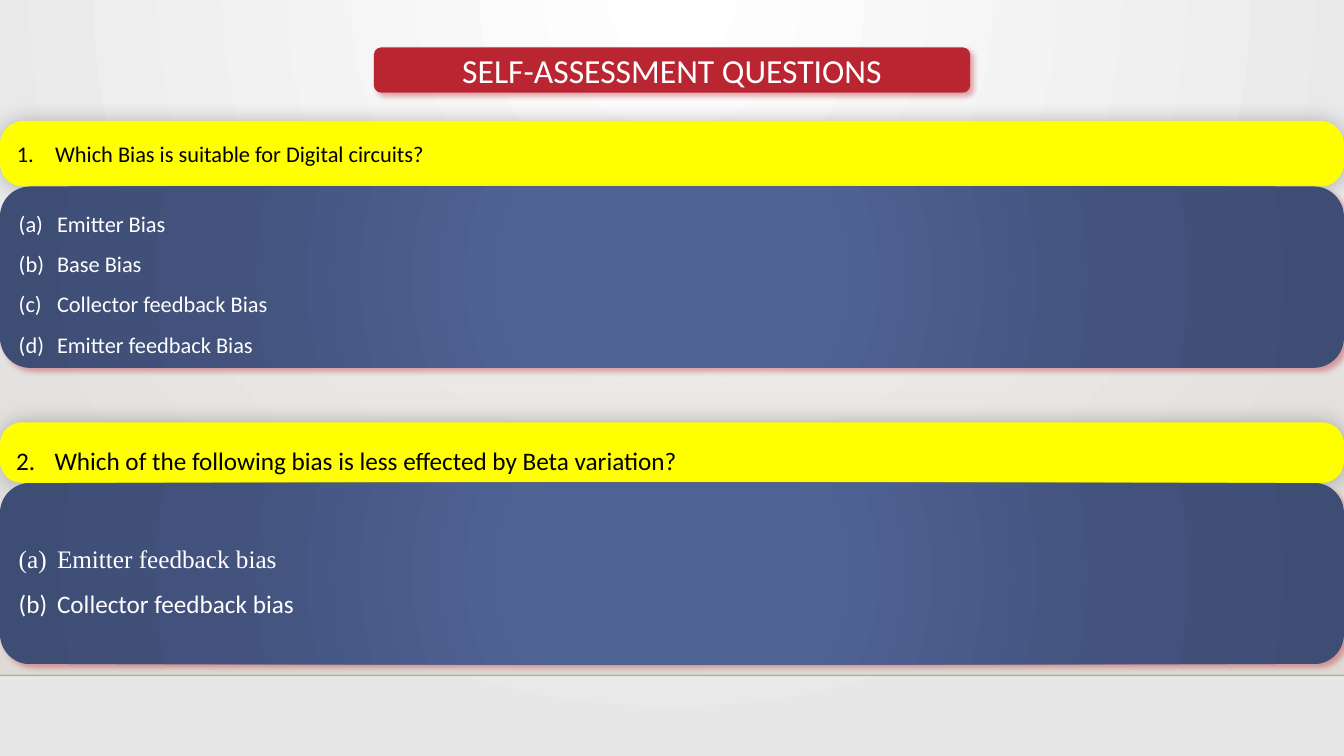
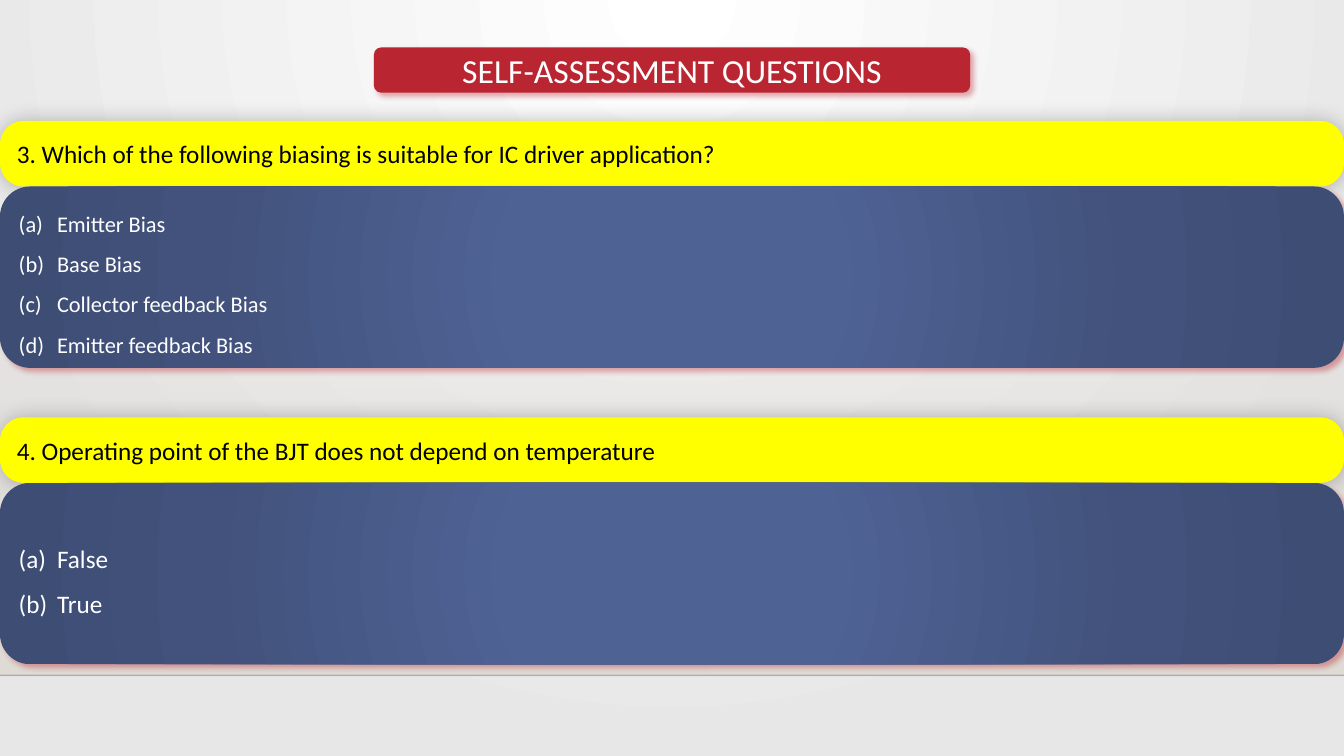
"""Build two slides of self-assessment questions on transistor biasing."""
from dataclasses import dataclass
from typing import NamedTuple, Optional

from lxml import etree
from pptx import Presentation
from pptx import util as u
from pptx.dml.color import RGBColor
from pptx.enum import shapes, text
from pptx.oxml.ns import qn

COLORS = {
    "white": "FFFFFF", "black": "000000", "red": "BA2532", "yellow": "FFFF00",
    "mist": "E7E7E7", "sand": "DFDBD5", "rule": "000001",
    "blue": "4E6294", "slate": "42527C", "navy": "3E4D74",
}
WIDTH, HEIGHT = u.Inches(13.33), u.Inches(7.5)
COLS, ROWS = 160, 150
FLOOR_ROW = 134
ANSWER_TOP, ANSWER_ROWS, BLOCK_PITCH = 37, 36, 58.8
INDENT = u.Inches(0.38)
BODY_FONT, SERIF_FONT = "Calibri", "Times New Roman"


class Stop(NamedTuple):
    """One colour stop of a gradient, in percent."""
    at: int
    color: str
    alpha: int = 100


class Shadow(NamedTuple):
    """An outer shadow: opacity in percent, lengths in points, angle in degrees."""
    color: str
    alpha: int
    blur: int
    distance: int
    angle: int


class Option(NamedTuple):
    """One answer to choose from."""
    text: str
    font: str = BODY_FONT


@dataclass(frozen=True)
class Block:
    """A question band with its answer panel."""
    question: str
    options: tuple[Option, ...]
    number: Optional[int] = None
    rows: float = 13
    question_size: int = 18
    question_spacing: Optional[float] = None
    option_size: int = 18


PAGE_STOPS = (Stop(0, "white"), Stop(100, "mist"))
WALL_STOPS = (Stop(0, "sand", 0), Stop(100, "sand"))
PANEL_STOPS = (Stop(0, "blue"), Stop(23, "blue"), Stop(69, "slate"), Stop(97, "navy"))
RED_SHADOW = Shadow("red", 40, 4, 3, 45)
GLOW = Shadow("black", 25, 15, 0, 0)
BIAS_OPTIONS = tuple(map(Option, (
    "Emitter Bias", "Base Bias", "Collector feedback Bias", "Emitter feedback Bias")))
PAGES = (
    (
        Block("Which Bias is suitable for Digital circuits?", BIAS_OPTIONS,
              number=1, question_size=16, option_size=16),
        Block("Which of the following bias is less effected by Beta variation?",
              (Option("Emitter feedback bias", SERIF_FONT),
               Option("Collector feedback bias")),
              number=2, rows=12, question_spacing=1.5),
    ),
    (
        Block("3. Which of the following biasing is suitable for IC driver application?",
              BIAS_OPTIONS, option_size=16),
        Block("4. Operating point of the BJT does not depend on temperature",
              (Option("False"), Option("True"))),
    ),
)


def col(count: float) -> int:
    """Return the length of some grid columns."""
    return round(WIDTH * count / COLS)


def row(count: float) -> int:
    """Return the length of some grid rows."""
    return round(HEIGHT * count / ROWS)


def child(parent, tag: str, **attributes):
    """Append a drawing element with its attributes."""
    values = {key: str(value) for key, value in attributes.items()}
    return etree.SubElement(parent, qn(f"a:{tag}"), values)


def add_color(parent, color: str, alpha: int) -> None:
    """Append a colour with an opacity in percent."""
    child(child(parent, "srgbClr", val=COLORS[color]), "alpha", val=alpha * 1000)


def paint(fill, color: str) -> None:
    """Fill with one colour."""
    fill.solid()
    fill.fore_color.rgb = RGBColor.from_string(COLORS[color])


def paint_gradient(fill, holder, stops: tuple[Stop, ...], focus=None) -> None:
    """Fill with a circular gradient around a focus, or else a downward one."""
    fill.gradient()
    gradient = holder.find(qn("a:gradFill"))
    for part in list(gradient):
        gradient.remove(part)
    stop_list = child(gradient, "gsLst")
    for stop in stops:
        add_color(child(stop_list, "gs", pos=stop.at * 1000), stop.color, stop.alpha)
    if focus is None:
        child(gradient, "lin", ang=90 * 60000, scaled=0)
    else:
        edges = {side: share * 1000 for side, share in zip("ltrb", focus)}
        child(child(gradient, "path", path="circle"), "fillToRect", **edges)


def add_panel(slide, left: float, top: float, columns: float, rows: float, *,
              rounded: bool = True, color: Optional[str] = None,
              stops: tuple[Stop, ...] = (), focus=None,
              shadow: Optional[Shadow] = None, corner: Optional[float] = None):
    """Draw a borderless panel placed on the grid."""
    kind = shapes.MSO_SHAPE.ROUNDED_RECTANGLE if rounded else shapes.MSO_SHAPE.RECTANGLE
    panel = slide.shapes.add_shape(kind, col(left), row(top), col(columns), row(rows))
    panel.line.fill.background()
    panel.shadow.inherit = False
    properties = panel._element.spPr
    if color:
        paint(panel.fill, color)
    else:
        paint_gradient(panel.fill, properties, stops, focus)
    if corner is not None:
        panel.adjustments[0] = corner
    if shadow:
        outer = child(properties.find(qn("a:effectLst")), "outerShdw",
                      blurRad=u.Pt(shadow.blur), dist=u.Pt(shadow.distance),
                      dir=shadow.angle * 60000, algn="ctr", rotWithShape=0)
        add_color(outer, shadow.color, shadow.alpha)
    return panel


def write(panel, words: str, *, size: int, color: str = "white", font: str = BODY_FONT,
          align=text.PP_ALIGN.LEFT, spacing: Optional[float] = None,
          numbering: Optional[str] = None, start: int = 1) -> None:
    """Add a paragraph to a panel in the given format."""
    frame = panel.text_frame
    frame.word_wrap = True
    frame.vertical_anchor = text.MSO_ANCHOR.MIDDLE
    paragraph = frame.add_paragraph() if frame.text else frame.paragraphs[0]
    paragraph.alignment = align
    if spacing:
        paragraph.line_spacing = spacing
    if numbering:
        properties = paragraph._p.get_or_add_pPr()
        properties.set("marL", str(INDENT))
        properties.set("indent", str(-INDENT))
        first = {"startAt": start} if start > 1 else {}
        child(properties, "buAutoNum", type=numbering, **first)
    run = paragraph.add_run()
    run.text = words
    run.font.size = u.Pt(size)
    run.font.name = font
    run.font.color.rgb = RGBColor.from_string(COLORS[color])


def add_backdrop(slide) -> None:
    """Draw the tinted wall and the floor line."""
    add_panel(slide, 0, 44.2, COLS, FLOOR_ROW - 44.2, rounded=False, stops=WALL_STOPS)
    floor = slide.shapes.add_connector(
        shapes.MSO_CONNECTOR.STRAIGHT, 0, row(FLOOR_ROW), WIDTH, row(FLOOR_ROW))
    floor.line.width = u.Pt(1)
    paint(floor.line.fill, "rule")
    tint = next(floor._element.spPr.iter(qn("a:srgbClr")))
    child(tint, "alpha", val=20000)
    child(floor._element.spPr, "effectLst")


def add_title(slide) -> None:
    """Draw the centred title plate."""
    plate = add_panel(slide, 44.5, 9.4, 71, 9, color="red", shadow=RED_SHADOW)
    write(plate, "SELF-ASSESSMENT QUESTIONS", size=24, align=text.PP_ALIGN.CENTER)


def add_block(slide, block: Block, index: int) -> None:
    """Draw a question band resting on its answer panel."""
    top = ANSWER_TOP + index * BLOCK_PITCH
    band = add_panel(slide, 0, top - block.rows, COLS, block.rows,
                     color="yellow", shadow=GLOW, corner=0.36)
    write(band, block.question, size=block.question_size, color="black",
          spacing=block.question_spacing, start=block.number or 1,
          numbering="arabicPeriod" if block.number else None)
    answers = add_panel(slide, 0, top, COLS, ANSWER_ROWS, stops=PANEL_STOPS,
                        focus=(50, 50, 50, 50), shadow=RED_SHADOW)
    for option in block.options:
        write(answers, option.text, size=block.option_size, font=option.font,
              spacing=1.5, numbering="alphaLcParenBoth")


def main() -> None:
    """Build and save the presentation."""
    deck = Presentation()
    deck.slide_width, deck.slide_height = WIDTH, HEIGHT
    master = deck.slide_master
    page_fill = master.background.fill
    page = next(master._element.iter(qn("p:bgPr")))
    paint_gradient(page_fill, page, PAGE_STOPS, (43, 0, 43, 100))
    for blocks in PAGES:
        slide = deck.slides.add_slide(deck.slide_layouts[6])
        add_backdrop(slide)
        add_title(slide)
        for index, block in enumerate(blocks):
            add_block(slide, block, index)
    deck.save("out.pptx")


if __name__ == "__main__":
    main()
